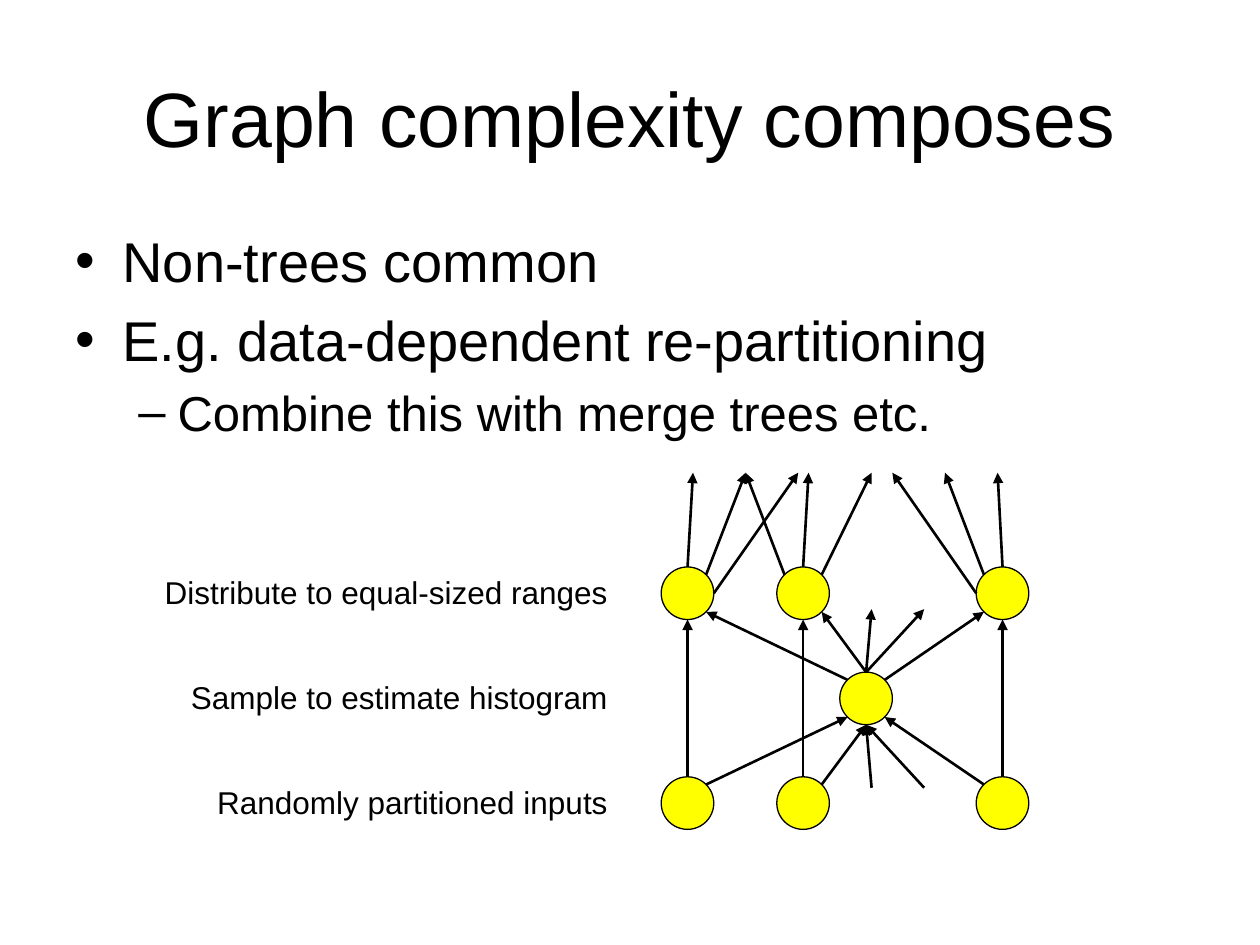
from dataclasses import dataclass
from math import cos, radians, sin

from lxml.etree import SubElement
from pptx import Presentation
from pptx.dml.color import RGBColor
from pptx.enum.shapes import MSO_CONNECTOR, MSO_SHAPE
from pptx.enum.text import MSO_ANCHOR, PP_ALIGN
from pptx.oxml.ns import qn
from pptx.util import Cm, Pt

HUES = {"ink": "000000", "node": "FFFF00", "back": "FFFFFF"}
SIZE = 1.06
TURNS = {"e": 0, "se": 45, "s": 90, "sw": 135, "w": 180, "nw": 225, "n": 270, "ne": 315}


@dataclass(frozen=True)
class Point:
    x: float
    y: float


@dataclass(frozen=True)
class Node:
    x: float
    y: float

    def port(self, side: str) -> Point:
        turn = radians(TURNS[side])
        return Point(self.x + SIZE / 2 * cos(turn), self.y + SIZE / 2 * sin(turn))


@dataclass(frozen=True)
class Arrow:
    start: Point
    end: Point


@dataclass(frozen=True)
class Label:
    text: str
    y: float
    width: float


@dataclass(frozen=True)
class Bullet:
    text: str
    size: int
    mark: str
    level: int
    left: float
    hang: float


def hue(name: str) -> RGBColor:
    return RGBColor.from_string(HUES[name])


def style(para, size: int, align=PP_ALIGN.LEFT) -> None:
    para.alignment = align
    for run in para.runs:
        run.font.name = "Arial"
        run.font.size = Pt(size)
        run.font.color.rgb = hue("ink")


def draw_node(shapes, node: Node) -> None:
    disc = shapes.add_shape(MSO_SHAPE.OVAL, Cm(node.x - SIZE / 2), Cm(node.y - SIZE / 2),
                            Cm(SIZE), Cm(SIZE))
    disc.shadow.inherit = False
    disc.fill.solid()
    disc.fill.fore_color.rgb = hue("node")
    disc.line.color.rgb = hue("ink")
    disc.line.width = Pt(0.75)


def draw_arrow(shapes, arrow: Arrow) -> None:
    start, end = arrow.start, arrow.end
    line = shapes.add_connector(MSO_CONNECTOR.STRAIGHT, Cm(start.x), Cm(start.y),
                                Cm(end.x), Cm(end.y))
    line.line.color.rgb = hue("ink")
    line.line.width = Pt(1.5)
    SubElement(line.line._get_or_add_ln(), qn("a:tailEnd"), type="triangle")
    SubElement(line._element.spPr, qn("a:effectLst"))


def draw_label(shapes, label: Label) -> None:
    box = shapes.add_textbox(Cm(12.5 - label.width), Cm(label.y - SIZE / 2),
                             Cm(label.width), Cm(1.02))
    box.text_frame.word_wrap = True
    box.text_frame.text = label.text
    style(box.text_frame.paragraphs[0], 18, PP_ALIGN.RIGHT)


def draw_list(shapes, items: list[Bullet]) -> None:
    box = shapes.add_textbox(Cm(1.27), Cm(4.45), Cm(22.86), Cm(12.57))
    frame = box.text_frame
    frame.word_wrap = True
    frame.text = "\n".join(item.text for item in items)
    for para, item in zip(frame.paragraphs, items):
        para.level = item.level
        style(para, item.size)
        props = para._p.get_or_add_pPr()
        props.set("marL", str(Cm(item.left)))
        props.set("indent", str(Cm(-item.hang)))
        space = SubElement(props, qn("a:spcBef"))
        SubElement(space, qn("a:spcPct"), val="20000")
        SubElement(props, qn("a:buFont"), typeface="Arial")
        SubElement(props, qn("a:buChar"), char=item.mark)


deck = Presentation()
deck.slide_width, deck.slide_height = Cm(25.4), Cm(19.05)
slide = deck.slides.add_slide(deck.slide_layouts[5])
slide.background.fill.solid()
slide.background.fill.fore_color.rgb = hue("back")
shapes = slide.shapes

title = shapes.title
title.left, title.top, title.width, title.height = Cm(1.27), Cm(0.76), Cm(22.86), Cm(3.18)
title.text_frame.text = "Graph complexity composes"
title.text_frame.vertical_anchor = MSO_ANCHOR.MIDDLE
style(title.text_frame.paragraphs[0], 44, PP_ALIGN.CENTER)

draw_list(shapes, [
    Bullet("Non-trees common", 32, "•", 0, 0.95, 0.95),
    Bullet("E.g. data-dependent re-partitioning", 32, "•", 0, 0.95, 0.95),
    Bullet("Combine this with merge trees etc.", 28, "–", 1, 2.06, 0.79),
])

COLS = (13.86, 16.19, 20.21)
HIGH, MID, LOW = 11.96, 14.08, 16.19
inputs = [Node(x, LOW) for x in COLS]
ranges = [Node(x, HIGH) for x in COLS]
sample = Node(17.46, MID)

arrows = [Arrow(low.port("n"), top.port("s")) for low, top in zip(inputs, ranges)]
for low, top, out, side in zip(inputs, ranges, ("e", "e", "w"), ("w", "", "e")):
    arrows += [Arrow(low.port("n" + out), sample.port("s" + side)),
               Arrow(sample.port("n" + side), top.port("s" + out))]
for x in (17.57, 18.63):
    arrows += [Arrow(Point(x, 15.88), sample.port("s")),
               Arrow(sample.port("n"), Point(x, 12.28))]

FANS = (
    {"n": 13.97, "ne": 15.03, "e": 16.09},
    {"nw": 15.03, "n": 16.3, "ne": 17.57},
    {"w": 17.99, "nw": 19.05, "n": 20.11},
)
for top, fan in zip(ranges, FANS):
    arrows += [Arrow(top.port(side), Point(x, 9.53)) for side, x in fan.items()]

for node in (*inputs, *ranges, sample):
    draw_node(shapes, node)
for arrow in arrows:
    draw_arrow(shapes, arrow)
for label in (
    Label("Distribute to equal-sized ranges", HIGH, 10.37),
    Label("Sample to estimate histogram", MID, 10.16),
    Label("Randomly partitioned inputs", LOW, 8.89),
):
    draw_label(shapes, label)

deck.save("out.pptx")
